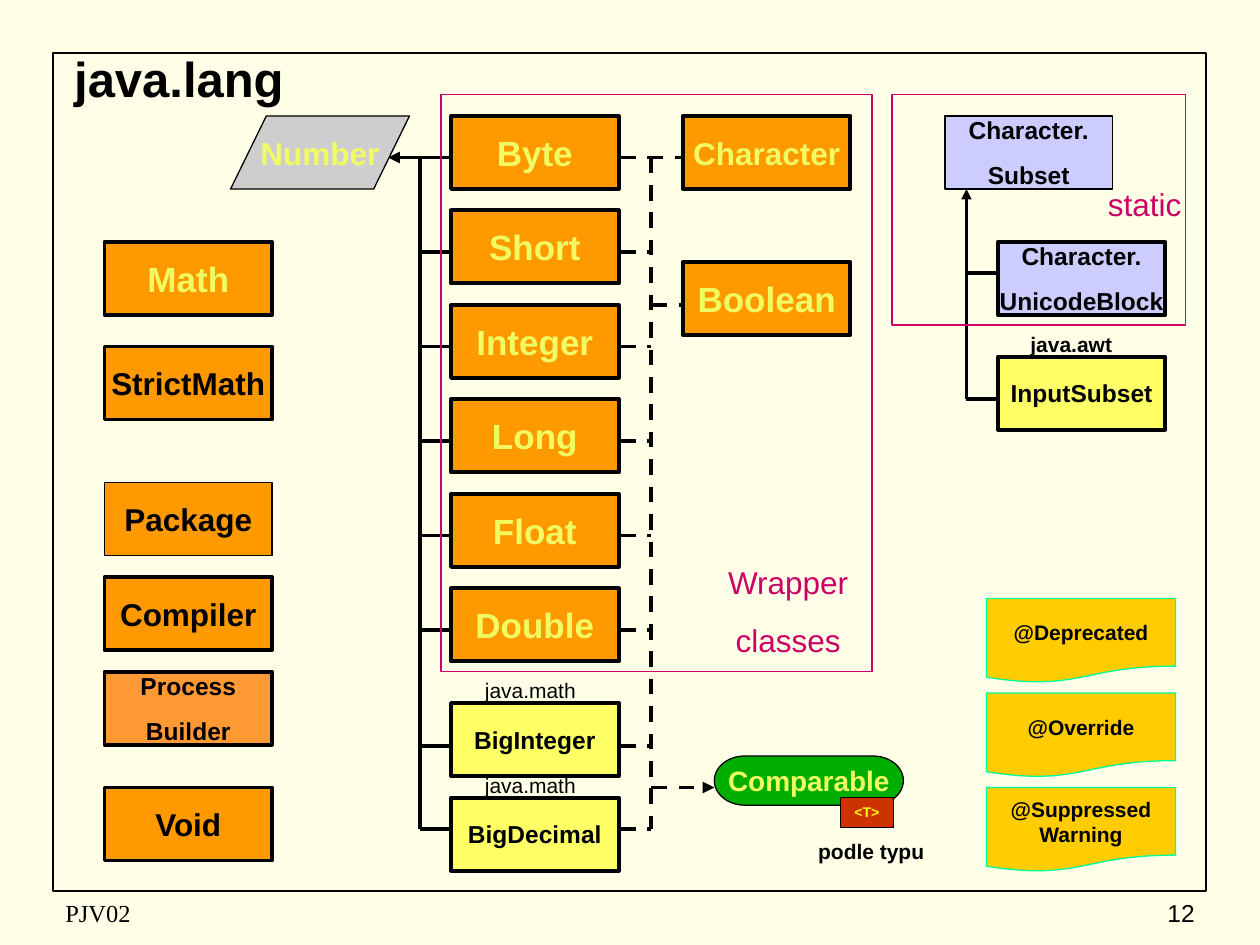
from dataclasses import dataclass

from lxml import etree
from pptx import Presentation
from pptx.dml.color import RGBColor
from pptx.enum.dml import MSO_LINE
from pptx.enum.shapes import MSO_CONNECTOR, MSO_SHAPE
from pptx.enum.text import MSO_ANCHOR, PP_ALIGN
from pptx.oxml.ns import qn
from pptx.util import Inches, Pt


@dataclass(frozen=True)
class Theme:
    paper: str = "FFFFE7"
    ink: str = "000000"
    pale: str = "F1FC62"
    orange: str = "FF9900"
    light_orange: str = "FF9933"
    yellow: str = "FFFF66"
    lilac: str = "CCCCFF"
    grey: str = "CECECE"
    green: str = "00AE00"
    red: str = "CC3300"
    bright: str = "FFFF00"
    magenta: str = "CC0066"
    gold: str = "FFCC00"
    mint: str = "00FF99"
    font: str = "Arial"
    footer_font: str = "Times New Roman"
    title: int = 28
    large: int = 20
    medium: int = 18
    interface: int = 16
    small: int = 14
    note: int = 12
    tiny: int = 8
    thick: float = 2.25
    thin: float = 0.75


@dataclass(frozen=True)
class Box:
    left: float
    top: float
    width: float
    height: float

    def inner(self, dx, dy, width, height):
        return Box(self.left + dx, self.top + dy, width, height)

    def emu(self):
        return [Inches(v) for v in (self.left, self.top, self.width, self.height)]


THEME = Theme()
CLASS_W, CLASS_H = 1.33, 0.58
ROW = 0.75


def write(frame, text, size, color=THEME.ink, bold=True, align=PP_ALIGN.CENTER,
          anchor=MSO_ANCHOR.MIDDLE, wrap=True, gap=0.0, font=THEME.font):
    """Fill a text frame; gap is the space between paragraphs relative to size."""
    frame.text = text
    frame.word_wrap = wrap
    frame.vertical_anchor = anchor
    for index, paragraph in enumerate(frame.paragraphs):
        paragraph.alignment = align
        paragraph.space_before = Pt(size * gap if index else 0)
        paragraph.font.size = Pt(size)
        paragraph.font.name = font
        paragraph.font.bold = bold
        paragraph.font.color.rgb = RGBColor.from_string(color)


def label(slide, box, text, size=THEME.note, **style):
    style = {"anchor": MSO_ANCHOR.TOP, "gap": 0.625, **style}
    write(slide.shapes.add_textbox(*box.emu()).text_frame, text, size, **style)


def panel(slide, box, fill=None, line=THEME.ink, weight=THEME.thick,
          kind=MSO_SHAPE.RECTANGLE):
    shape = slide.shapes.add_shape(kind, *box.emu())
    shape.shadow.inherit = False
    if fill:
        shape.fill.solid()
        shape.fill.fore_color.rgb = RGBColor.from_string(fill)
    else:
        shape.fill.background()
    shape.line.color.rgb = RGBColor.from_string(line)
    shape.line.width = Pt(weight)
    return shape


def class_box(slide, box, text, size, fill=THEME.orange, color=THEME.ink,
              weight=THEME.thick):
    shape = panel(slide, box, fill, weight=weight)
    write(shape.text_frame, text, size, color, wrap=False, gap=0.625)


def wire(slide, box, x1, y1, x2, y2, weight=THEME.thick, dashed=False, arrow=None):
    """Draw a line within box; arrow is headEnd or tailEnd."""
    connector = slide.shapes.add_connector(
        MSO_CONNECTOR.STRAIGHT, Inches(box.left + x1), Inches(box.top + y1),
        Inches(box.left + x2), Inches(box.top + y2))
    connector.line.color.rgb = RGBColor.from_string(THEME.ink)
    connector.line.width = Pt(weight)
    if dashed:
        connector.line.dash_style = MSO_LINE.DASH
    properties = connector._element.spPr
    if arrow:
        etree.SubElement(properties.find(qn("a:ln")), qn("a:" + arrow), type="triangle")
    etree.SubElement(properties, qn("a:effectLst"))


def page_frame(slide, box):
    panel(slide, box, weight=1)
    footer_top = box.height + 0.01
    label(slide, box.inner(0, footer_top, 3.17, 0.33), "PJV02", THEME.small, bold=False,
          align=PP_ALIGN.LEFT, anchor=MSO_ANCHOR.MIDDLE, font=THEME.footer_font)
    label(slide, box.inner(7.08, footer_top, 2.08, 0.33), "12", THEME.small, bold=False,
          align=PP_ALIGN.RIGHT, anchor=MSO_ANCHOR.MIDDLE)


def title(slide, box):
    heading = slide.shapes.title
    heading.left, heading.top, heading.width, heading.height = box.emu()
    write(heading.text_frame, "java.lang", THEME.title)


def utility_classes(slide, box):
    classes = [
        (0, "Math", THEME.large, {"color": THEME.pale}),
        (0.83, "StrictMath", THEME.medium, {}),
        (1.91, "Package", THEME.medium, {"weight": THEME.thin}),
        (2.66, "Compiler", THEME.medium, {}),
        (3.41, "Process\nBuilder", THEME.small, {"fill": THEME.light_orange}),
        (4.33, "Void", THEME.medium, {}),
    ]
    for top, name, size, style in classes:
        class_box(slide, box.inner(0, top, box.width, CLASS_H), name, size, **style)


def number_hierarchy(slide, box):
    column, trunk, dashed_trunk = 1.75, 1.5, 3.34
    wrappers = ["Byte", "Short", "Integer", "Long", "Float", "Double"]
    first, last = 0.5, 5.83
    branches = [first + ROW * i for i in range(1, len(wrappers))] + [5.17, last]

    # Inheritance from Number
    wire(slide, box, trunk, first, trunk, last)
    wire(slide, box, 1.25, first, column, first, arrow="headEnd")
    for y in branches:
        wire(slide, box, trunk, y, column, y)
    number = panel(slide, box.inner(0, 0.17, 1.42, CLASS_H), THEME.grey,
                   weight=THEME.thin, kind=MSO_SHAPE.FLOWCHART_DATA)
    write(number.text_frame, "Number", THEME.medium, THEME.pale, wrap=False)

    # Numeric classes
    for i, name in enumerate(wrappers):
        class_box(slide, box.inner(column, 0.17 + ROW * i, CLASS_W, CLASS_H), name,
                  THEME.large, color=THEME.pale)
    for i, name in enumerate(["BigInteger", "BigDecimal"]):
        top = 4.83 + ROW * i
        class_box(slide, box.inner(column, top, CLASS_W, CLASS_H), name,
                  THEME.small, fill=THEME.yellow)
        label(slide, box.inner(column + 0.17, top - 0.25, 1, 0.3), "java.math",
              bold=False, align=PP_ALIGN.LEFT)

    # Other wrapper classes
    for top, name, size in [(0.17, "Character", THEME.medium),
                            (1.33, "Boolean", THEME.large)]:
        class_box(slide, box.inner(3.59, top, CLASS_W, CLASS_H), name, size,
                  color=THEME.pale)

    # Implementation of Comparable
    wire(slide, box, dashed_trunk, first, dashed_trunk, last, dashed=True)
    wire(slide, box, 3.09, first, 3.59, first, dashed=True)
    for y in branches:
        wire(slide, box, 3.09, y, dashed_trunk, y, dashed=True)
    wire(slide, box, dashed_trunk, 1.67, 3.59, 1.67, dashed=True)
    wire(slide, box, dashed_trunk, 5.5, 3.84, 5.5, dashed=True, arrow="tailEnd")

    # Frame around the wrapper classes
    panel(slide, box.inner(1.67, 0, 3.42, 4.58), line=THEME.magenta, weight=THEME.thin)
    label(slide, box.inner(3.84, 3.67, 1.17, 0.86), "Wrapper\nclasses", THEME.medium,
          color=THEME.magenta, bold=False)


def comparable(slide, box):
    interface = panel(slide, box.inner(0, 0, 1.5, 0.39), THEME.green,
                      weight=THEME.thin, kind=MSO_SHAPE.FLOWCHART_TERMINATOR)
    write(interface.text_frame, "Comparable", THEME.interface, THEME.pale, wrap=False)
    parameter = panel(slide, box.inner(1, 0.33, 0.42, 0.24), THEME.red, weight=THEME.thin)
    write(parameter.text_frame, "<T>", THEME.tiny, THEME.bright, anchor=MSO_ANCHOR.TOP)
    label(slide, box.inner(0.66, 0.61, 1.17, 0.3), "podle typu")


def character_subsets(slide, box):
    trunk, column = 0.59, 0.84
    class_box(slide, box.inner(0.42, 0.17, CLASS_W, CLASS_H), "Character.\nSubset",
              THEME.small, THEME.lilac, weight=1)
    wire(slide, box, trunk, 2.42, trunk, 0.75, weight=1.5, arrow="tailEnd")
    subclasses = [(1.17, 1.42, "Character.\nUnicodeBlock", THEME.lilac),
                  (2.08, 2.42, "InputSubset", THEME.yellow)]
    for top, branch, name, fill in subclasses:
        class_box(slide, box.inner(column, top, CLASS_W, CLASS_H), name, THEME.small, fill)
        wire(slide, box, trunk, branch, column, branch)
    label(slide, box.inner(1, 1.83, 1, 0.3), "java.awt", align=PP_ALIGN.LEFT)

    # Frame around the static classes
    panel(slide, box.inner(0, 0, box.width, 1.83), line=THEME.magenta, weight=THEME.thin)
    label(slide, box.inner(1.42, 0.67, 1.17, 0.4), "static", THEME.medium,
          color=THEME.magenta, bold=False)


def annotations(slide, box):
    for i, name in enumerate(["@Deprecated", "@Override", "@Suppressed\nWarning"]):
        note = panel(slide, box.inner(0, ROW * i, box.width, 0.67), THEME.gold,
                     THEME.mint, THEME.thin, MSO_SHAPE.FLOWCHART_DOCUMENT)
        write(note.text_frame, name, THEME.note, wrap=False)


def main():
    deck = Presentation()
    deck.slide_width, deck.slide_height = Inches(10), Inches(7.5)
    slide = deck.slides.add_slide(deck.slide_layouts[5])
    slide.background.fill.solid()
    slide.background.fill.fore_color.rgb = RGBColor.from_string(THEME.paper)
    page_frame(slide, Box(0.42, 0.42, 9.15, 6.65))
    title(slide, Box(0.17, 0.33, 2.5, 0.58))
    utility_classes(slide, Box(0.83, 1.92, CLASS_W, 4.91))
    number_hierarchy(slide, Box(1.83, 0.75, 5.09, 6.16))
    comparable(slide, Box(5.67, 6, 1.83, 0.91))
    character_subsets(slide, Box(7.08, 0.75, 2.33, 2.66))
    annotations(slide, Box(7.83, 4.75, 1.5, 2.17))
    deck.save("out.pptx")


if __name__ == "__main__":
    main()
